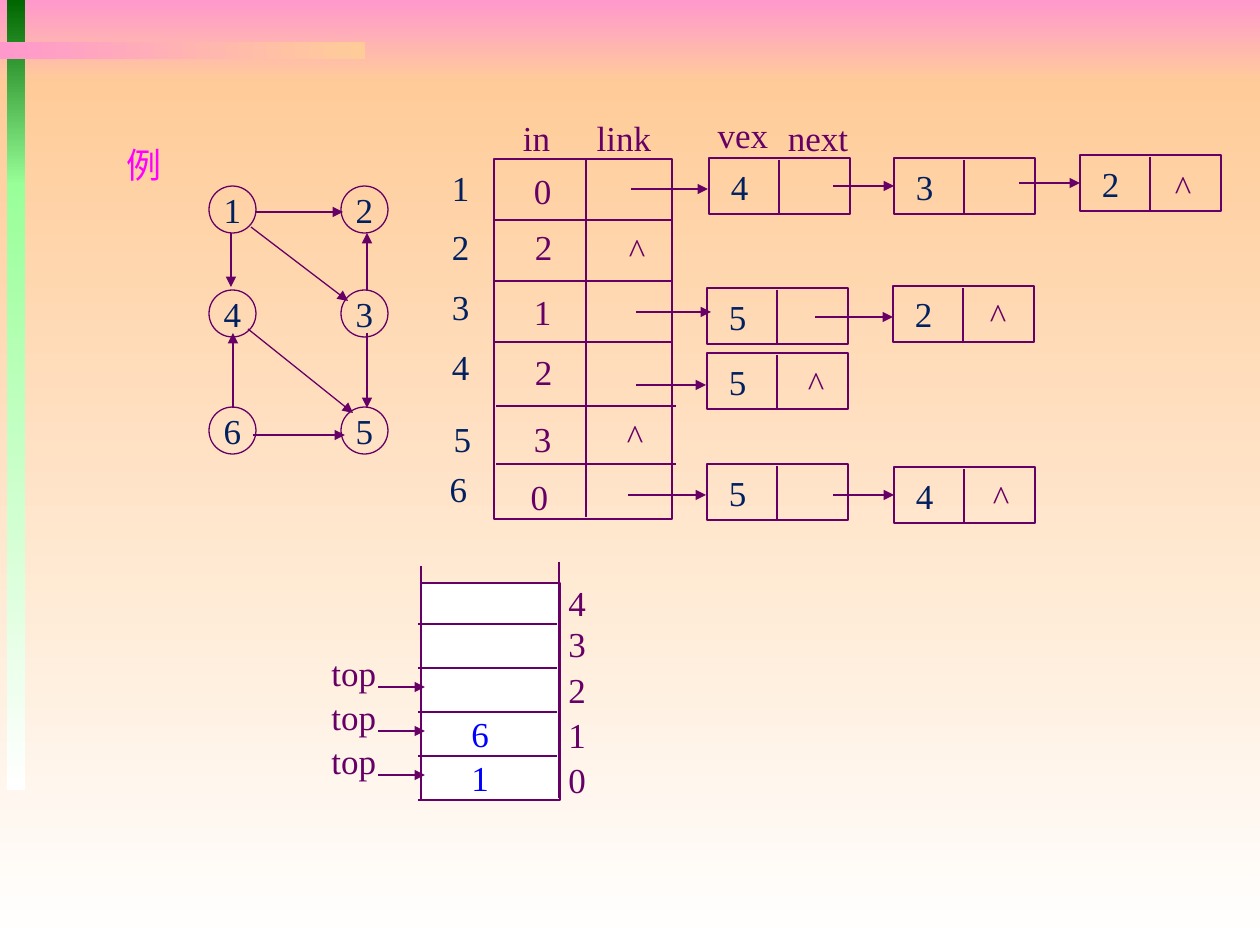
import dataclasses

import lxml.etree
import pptx
import pptx.dml.color
import pptx.enum.shapes
import pptx.enum.text
import pptx.oxml.ns
import pptx.util

EMU_PER_PX = 914400 / 126
SHAPES = pptx.enum.shapes.MSO_SHAPE
ALIGN = pptx.enum.text.PP_ALIGN
ANCHOR = pptx.enum.text.MSO_ANCHOR


@dataclasses.dataclass(frozen=True)
class Theme:
    font: str = "Times New Roman"
    text_size: int = 20
    line_width: float = 0.75
    plum: str = "660066"
    navy: str = "002060"
    blue: str = "0000FF"
    magenta: str = "FF00FF"
    pink: str = "FF99CC"
    peach: str = "FFCC99"
    white: str = "FFFFFF"
    dark_green: str = "006600"
    light_green: str = "99FF99"


THEME = Theme()
TEXT_HEIGHT = 54
NODE_WIDTH, NODE_HEIGHT = 141, 56


def px(*lengths):
    return [pptx.util.Emu(round(length * EMU_PER_PX)) for length in lengths]


def rgb(color):
    return pptx.dml.color.RGBColor.from_string(color)


def write(frame, words, color, align):
    frame.text = words
    paragraph = frame.paragraphs[0]
    paragraph.alignment = align
    font = paragraph.runs[0].font
    font.name = THEME.font
    font.size = pptx.util.Pt(THEME.text_size)
    font.color.rgb = rgb(color)


def add_label(slide, words, left, top, width=43, color=THEME.plum, align=ALIGN.CENTER):
    frame = slide.shapes.add_textbox(*px(left, top, width, TEXT_HEIGHT)).text_frame
    frame.word_wrap = False
    frame.auto_size = pptx.enum.text.MSO_AUTO_SIZE.SHAPE_TO_FIT_TEXT
    write(frame, words, color, align)


def add_outline(slide, preset, left, top, width, height, fill=None):
    outline = slide.shapes.add_shape(preset, *px(left, top, width, height))
    outline.shadow.inherit = False
    if fill:
        outline.fill.solid()
        outline.fill.fore_color.rgb = rgb(fill)
    else:
        outline.fill.background()
    outline.line.color.rgb = rgb(THEME.plum)
    outline.line.width = pptx.util.Pt(THEME.line_width)
    return outline


def add_line(slide, x1, y1, x2, y2, arrow=False):
    line = slide.shapes.add_connector(
        pptx.enum.shapes.MSO_CONNECTOR.STRAIGHT, *px(x1, y1, x2, y2))
    line.line.color.rgb = rgb(THEME.plum)
    line.line.width = pptx.util.Pt(THEME.line_width)
    qn = pptx.oxml.ns.qn
    if arrow:
        lxml.etree.SubElement(line.line._get_or_add_ln(), qn("a:tailEnd"), type="triangle")
    lxml.etree.SubElement(line._element.spPr, qn("a:effectLst"))
    return line


def add_gradient_band(slide, left, top, width, height, start, end, angle=270):
    band = slide.shapes.add_shape(SHAPES.RECTANGLE, *px(left, top, width, height))
    band.shadow.inherit = False
    band.line.fill.background()
    band.fill.gradient()
    band.fill.gradient_angle = angle
    for stop, position, color in zip(band.fill.gradient_stops, (0, 1), (start, end)):
        stop.position = position
        stop.color.rgb = rgb(color)


def add_vertex(slide, name, left, top):
    vertex = add_outline(slide, SHAPES.OVAL, left, top, 47, 47)
    frame = vertex.text_frame
    frame.word_wrap = False
    frame.vertical_anchor = ANCHOR.MIDDLE
    write(frame, name, THEME.navy, ALIGN.CENTER)


def add_list_node(slide, vex, left, top, arrow_start, arrow_end, arrow_y):
    node = add_outline(slide, SHAPES.RECTANGLE, left, top, NODE_WIDTH, NODE_HEIGHT)
    frame = node.text_frame
    frame.margin_left = px(22)[0]
    frame.vertical_anchor = ANCHOR.MIDDLE
    write(frame, vex, THEME.navy, ALIGN.LEFT)
    divider = left + NODE_WIDTH // 2
    add_line(slide, divider, top + 2, divider, top + NODE_HEIGHT - 1)
    pointer = add_line(slide, arrow_start, arrow_y, arrow_end, arrow_y, arrow=True)
    if (arrow_end, arrow_y) == (left, top + NODE_HEIGHT // 2):
        pointer.end_connect(node, 1)


def draw_background(slide):
    add_gradient_band(slide, 0, 0, 1260, 84, THEME.pink, THEME.peach)
    add_gradient_band(slide, 0, 84, 1260, 861, THEME.peach, THEME.white)
    add_gradient_band(slide, 7, 0, 18, 186, THEME.dark_green, THEME.light_green)
    add_gradient_band(slide, 7, 184, 18, 606, THEME.light_green, THEME.white)
    add_gradient_band(slide, 0, 42, 365, 17, THEME.pink, THEME.peach, angle=0)


def draw_graph(slide):
    add_label(slide, "例", 114, 137, 60, THEME.magenta, ALIGN.LEFT)
    for top, names in ((186, "12"), (290, "43"), (407, "65")):
        for left, name in zip((209, 341), names):
            add_vertex(slide, name, left, top)
    edges = (
        (256, 212, 343, 212), (231, 233, 231, 287), (253, 435, 345, 435),
        (233, 408, 233, 333), (367, 333, 367, 408), (367, 290, 367, 233),
        (251, 227, 348, 301), (248, 329, 353, 413),
    )
    for edge in edges:
        add_line(slide, *edge, arrow=True)


def draw_adjacency_list(slide):
    add_outline(slide, SHAPES.RECTANGLE, 494, 159, 178, 360)
    add_line(slide, 586, 159, 586, 517)
    for y in (220, 281, 342):
        add_line(slide, 493, y, 671, y)
    for y in (406, 464):
        add_line(slide, 496, y, 676, y)
    headings = (("in", 508, 110, 57), ("link", 579, 110, 90),
                ("vex", 701, 107, 84), ("next", 771, 110, 94))
    for heading in headings:
        add_label(slide, *heading)

    vertex_numbers = ((439, 160), (439, 219), (439, 279), (439, 339), (441, 411), (437, 461))
    for number, (left, top) in enumerate(vertex_numbers, 1):
        add_label(slide, str(number), left, top, color=THEME.navy)
    in_degrees = (("0", 521, 163), ("2", 522, 219), ("1", 521, 284),
                  ("2", 522, 344), ("3", 521, 411), ("0", 518, 469))
    for in_degree in in_degrees:
        add_label(slide, *in_degree)

    list_nodes = (
        ("4", 709, 158, 631, 708, 189), ("3", 894, 158, 833, 894, 186),
        ("2", 1080, 155, 1019, 1080, 183),
        ("5", 707, 288, 636, 711, 312), ("2", 893, 286, 815, 893, 317),
        ("5", 707, 353, 636, 706, 385),
        ("5", 707, 464, 628, 706, 495), ("4", 894, 467, 833, 894, 495),
    )
    for list_node in list_nodes:
        add_list_node(slide, *list_node)
    null_links = ((616, 222), (614, 408), (1162, 159), (977, 287), (795, 355), (980, 469))
    for left, top in null_links:
        add_label(slide, "^", left, top, 42)


def draw_stack(slide):
    add_outline(slide, SHAPES.RECTANGLE, 421, 583, 139, 217, THEME.white)
    add_line(slide, 421, 566, 421, 800)
    add_line(slide, 559, 798, 559, 562)
    for slot in range(5):
        y = 800 - 44 * slot
        add_line(slide, 418, y, 557, y)
    for index, top in enumerate((752, 707, 662, 616, 575)):
        add_label(slide, str(index), 556, top, align=ALIGN.LEFT)
    for slot, vertex in enumerate("16"):
        add_label(slide, vertex, 459, 750 - 44 * slot, color=THEME.blue, align=ALIGN.LEFT)
    for slot in range(3):
        rise = 44 * slot
        add_line(slide, 378, 775 - rise, 425, 775 - rise, arrow=True)
        add_label(slide, "top", 319, 733 - rise, 76, align=ALIGN.LEFT)


def main():
    deck = pptx.Presentation()
    deck.slide_width, deck.slide_height = px(1260, 945)
    slide = deck.slides.add_slide(deck.slide_layouts[6])
    draw_background(slide)
    draw_stack(slide)
    draw_graph(slide)
    draw_adjacency_list(slide)
    deck.save("out.pptx")


if __name__ == "__main__":
    main()
